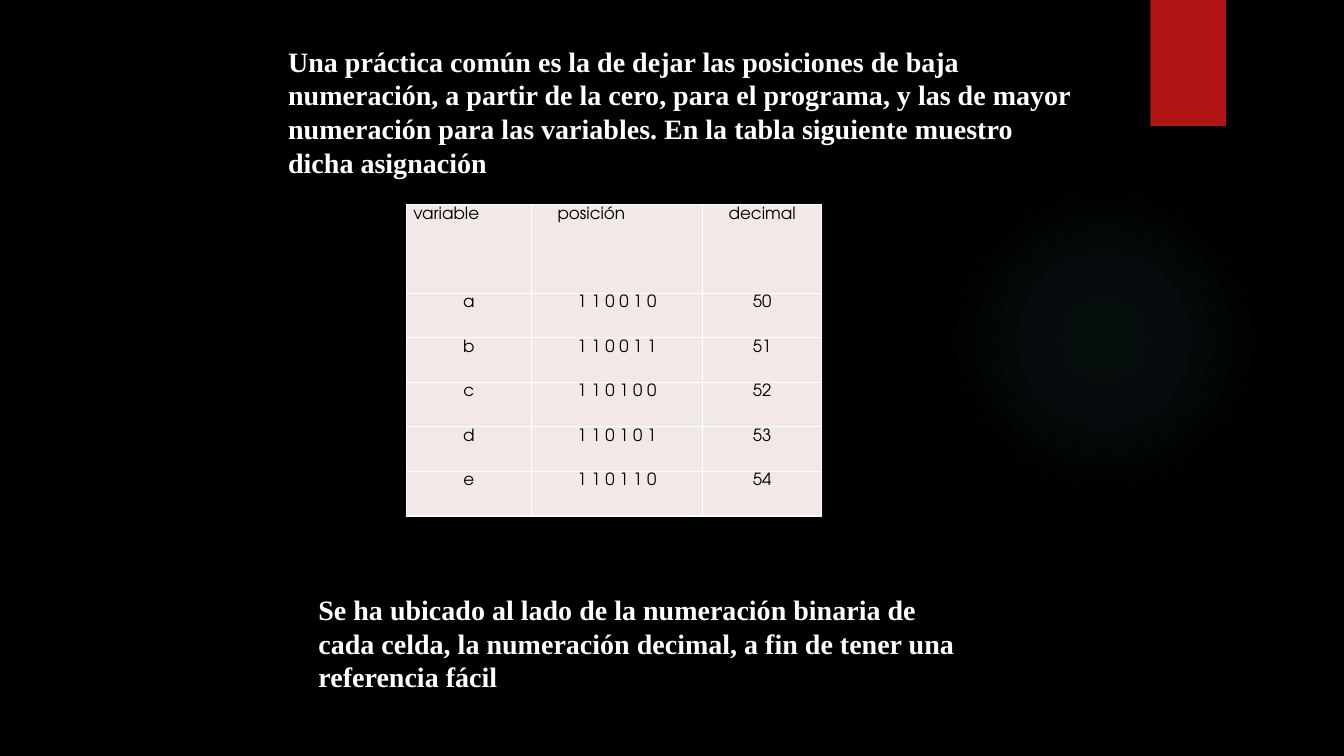
import pptx
import pptx.util
import pptx.dml.color
import pptx.enum.shapes
import pptx.enum.text
import pptx.oxml
from pptx.util import Inches

COLORS = {"back": "000000", "glow": "50B9C1", "tab": "B01513",
          "cell": "F2E8E7", "dark": "000000", "light": "FFFFFF"}
SHAPE = pptx.enum.shapes.MSO_SHAPE
ALIGN = pptx.enum.text.PP_ALIGN
NS = 'xmlns:a="http://schemas.openxmlformats.org/drawingml/2006/main"'


def rgb(name):
    return pptx.dml.color.RGBColor.from_string(COLORS[name])


class Deck:
    def __init__(self, slide):
        self.slide = slide
        self.serif = "Times New Roman"
        self.sans = "TeX Gyre Adventor"
        fill = slide.background.fill
        fill.solid()
        fill.fore_color.rgb = rgb("back")

    def shape(self, kind, box, color):
        shape = self.slide.shapes.add_shape(kind, *map(Inches, box))
        shape.shadow.inherit = False
        shape.fill.solid()
        shape.fill.fore_color.rgb = rgb(color)
        shape.line.fill.background()
        return shape

    def glow(self, box, color, stops):
        shape = self.shape(SHAPE.OVAL, box, color)
        marks = "".join(
            f'<a:gs pos="{at * 1000}"><a:srgbClr val="{COLORS[color]}">'
            f'<a:alpha val="{alpha * 1000}"/></a:srgbClr></a:gs>'
            for at, alpha in stops)
        grad = pptx.oxml.parse_xml(
            f'<a:gradFill {NS}><a:gsLst>{marks}</a:gsLst><a:path path="circle">'
            '<a:fillToRect l="50000" t="50000" r="50000" b="50000"/>'
            '</a:path></a:gradFill>')
        props = shape.fill._xPr
        props.replace(props.find(pptx.oxml.ns.qn("a:solidFill")), grad)

    def style(self, para, font, size, color, bold):
        para.font.name = font
        para.font.size = pptx.util.Pt(size)
        para.font.bold = bold
        para.font.color.rgb = rgb(color)

    def text(self, box, words):
        frame = self.slide.shapes.add_textbox(*map(Inches, box)).text_frame
        frame.word_wrap = True
        frame.text = words
        self.style(frame.paragraphs[0], self.serif, 20, "light", True)

    def cell(self, cell, words, align, left):
        cell.text = words
        cell.margin_left, cell.margin_right = Inches(left), Inches(0.07)
        cell.margin_top, cell.margin_bottom = Inches(0.02), 0
        para = cell.text_frame.paragraphs[0]
        para.alignment = align
        self.style(para, self.sans, 12, "dark", False)
        # Thin white borders come before the fill
        props = cell._tc.get_or_add_tcPr()
        for side in ("lnL", "lnR", "lnT", "lnB"):
            props.append(pptx.oxml.parse_xml(
                f'<a:{side} {NS} w="12700"><a:solidFill><a:srgbClr '
                f'val="{COLORS["light"]}"/></a:solidFill></a:{side}>'))
        cell.fill.solid()
        cell.fill.fore_color.rgb = rgb("cell")

    def table(self, box, rows, wides, top):
        table = self.slide.shapes.add_table(
            len(rows), len(wides), *map(Inches, box)).table
        for col, wide in zip(table.columns, wides):
            col.width = Inches(wide)
        # The rows below the header share the rest of the height
        rest = (box[3] - top) / (len(rows) - 1)
        for r, row in enumerate(rows):
            table.rows[r].height = Inches(rest if r else top)
            for c, words in enumerate(row):
                head = r == 0 and c < 2
                align = ALIGN.LEFT if head else ALIGN.CENTER
                left = 0.26 if head and c == 1 else 0.07
                self.cell(table.cell(r, c), words, align, left)


def main():
    prs = pptx.Presentation()
    prs.slide_width, prs.slide_height = Inches(13.33), Inches(7.5)
    deck = Deck(prs.slides.add_slide(prs.slide_layouts[6]))

    # Backdrop
    deck.glow((9.41, 1.83, 3.08, 3.08), "glow", [(0, 7), (36, 6), (69, 0)])
    deck.shape(SHAPE.RECTANGLE, (11.41, 0, 0.75, 1.25), "tab")

    # Memory table: each variable with its binary and decimal position
    rows = [("variable", "posición", "decimal")]
    for spot, name in enumerate("abcde", 50):
        rows.append((name, " ".join(f"{spot:b}"), str(spot)))
    deck.table((4.03, 2.03, 4.12, 3.09), rows, (1.24, 1.7, 1.18), 0.88)

    # Text above and below
    deck.text((2.76, 0.39, 8.04, 1.45),
              "Una práctica común es la de dejar las posiciones de baja "
              "numeración, a partir de la cero, para el programa, y las de "
              "mayor numeración para las variables. En la tabla siguiente "
              "muestro dicha asignación")
    deck.text((3.06, 5.83, 6.67, 1.11),
              "Se ha ubicado al lado de la numeración binaria de cada celda, "
              "la numeración decimal, a fin de tener una referencia fácil")
    prs.save("out.pptx")


if __name__ == "__main__":
    main()
